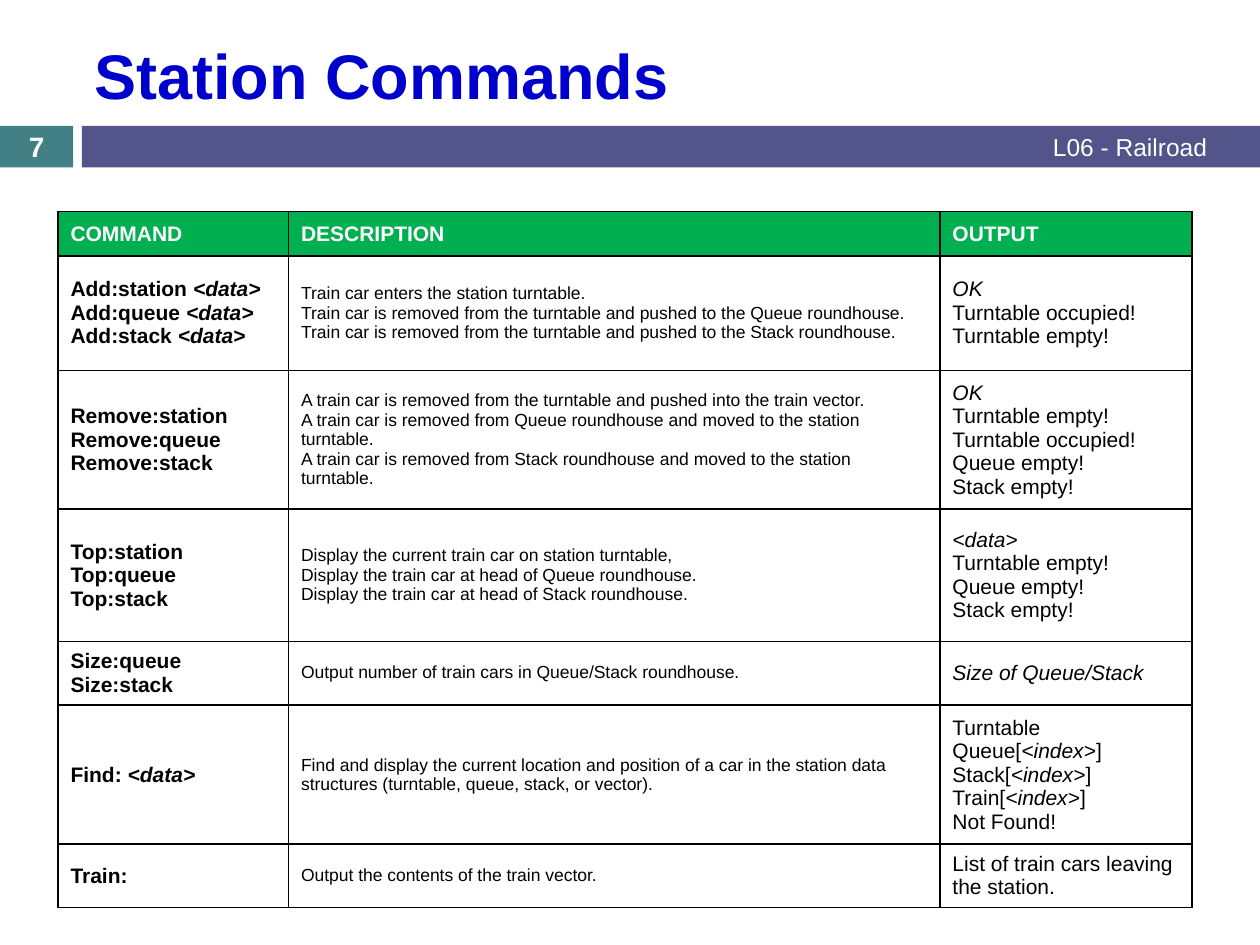
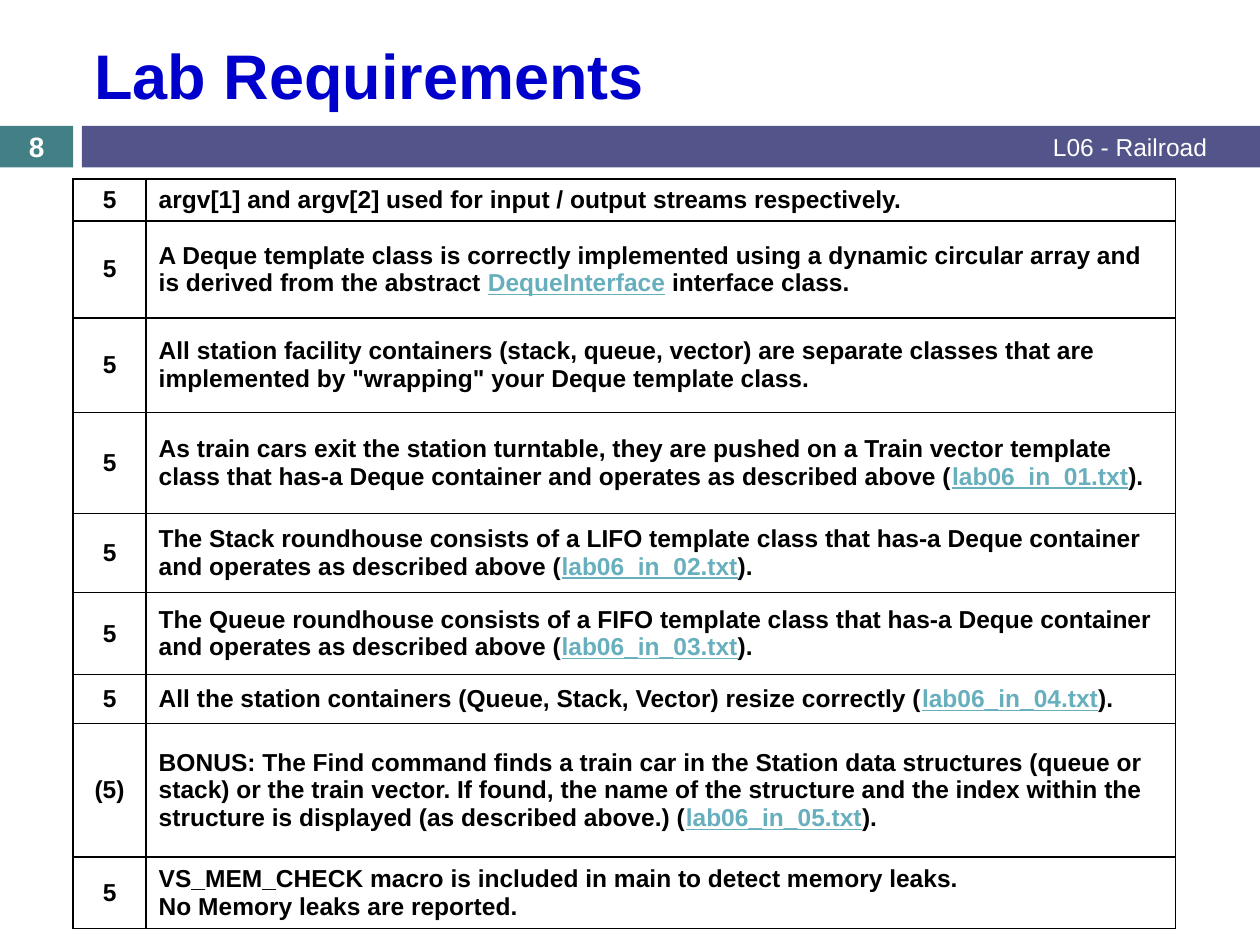
from lxml import etree
from pptx import Presentation
from pptx.dml.color import RGBColor
from pptx.enum.shapes import MSO_SHAPE
from pptx.enum.text import MSO_ANCHOR, MSO_AUTO_SIZE, PP_ALIGN
from pptx.oxml.ns import qn
from pptx.util import Inches, Pt

LEFT, CENTER, RIGHT = PP_ALIGN.LEFT, PP_ALIGN.CENTER, PP_ALIGN.RIGHT
MIDDLE = MSO_ANCHOR.MIDDLE
NO_AUTOFIT = MSO_AUTO_SIZE.NONE
RECTANGLE = MSO_SHAPE.RECTANGLE

SLIDE_WIDTH, SLIDE_HEIGHT = 10, 7.5
BAND_TOP, BAND_HEIGHT = 1, 0.33
NUMBER_WIDTH = 0.58
BAND_LEFT = 0.65

FONT = "Arial"
TEAL, PURPLE, TITLE_BLUE = "438086", "53548A", "0000CC"
GREEN, LINK, WHITE, BLACK = "00B050", "67AFBD", "FFFFFF", "000000"

FOOTER = "L06 - Railroad"
ACCENT = "|"  # encloses italic words or links inside a cell text

COMMAND_LEFT, COMMAND_TOP = 0.46, 1.68
COMMAND_COLUMNS = [1.83, 5.17, 2]
HEADER = ["COMMAND", "DESCRIPTION", "OUTPUT"]
# Each group: height of its slot, row heights, rows of cells
COMMAND_GROUPS = [
    (1.26, [0.35, 0.91], [
        HEADER,
        ["Add:station |<data>|\nAdd:queue |<data>|\nAdd:stack |<data>|",
         "Train car enters the station turntable.\n"
         "Train car is removed from the turntable and pushed to the Queue roundhouse.\n"
         "Train car is removed from the turntable and pushed to the Stack roundhouse.",
         "|OK|\nTurntable occupied!\nTurntable empty!"]]),
    (1.1, [1.05], [
        ["Remove:station\nRemove:queue\nRemove:stack",
         "A train car is removed from the turntable and pushed into the train vector.\n"
         "A train car is removed from Queue roundhouse and moved to the station turntable.\n"
         "A train car is removed from Stack roundhouse and moved to the station turntable.",
         "|OK|\nTurntable empty!\nTurntable occupied!\nQueue empty!\nStack empty!"]]),
    (1.05, [1.05], [
        ["Top:station\nTop:queue\nTop:stack",
         "Display the current train car on station turntable,\n"
         "Display the train car at head of Queue roundhouse.\n"
         "Display the train car at head of Stack roundhouse.",
         "|<data>|\nTurntable empty!\nQueue empty!\nStack empty!"]]),
    (0.51, [0.49], [
        ["Size:queue\nSize:stack",
         "Output number of train cars in Queue/Stack roundhouse.",
         "|Size of Queue/Stack|"]]),
    (1.1, [0.91], [
        ["Find: |<data>|",
         "Find and display the current location and position of a car in the "
         "station data structures (turntable, queue, stack, or vector).",
         "Turntable\nQueue[|<index>|]\nStack[|<index>|]\nTrain[|<index>|]\nNot Found!"]]),
    (0.5, [0.49], [
        ["Train:",
         "Output the contents of the train vector.",
         "List of train cars leaving the station."]]),
]

REQUIREMENT_LEFT, REQUIREMENT_TOP = 0.58, 1.42
REQUIREMENT_COLUMNS = [0.58, 8.17]
# Each requirement: row height, points, text
REQUIREMENTS = [
    (0.3, "5", "argv[1] and argv[2] used for input / output streams respectively."),
    (0.77, "5", "A Deque template class is correctly implemented using a dynamic circular "
     "array and is derived from the abstract |DequeInterface| interface class."),
    (0.75, "5", "All station facility containers (stack, queue, vector) are separate classes "
     "that are implemented by \"wrapping\" your Deque template class."),
    (0.8, "5", "As train cars exit the station turntable, they are pushed on a Train vector "
     "template class that has-a Deque container and operates as described above "
     "(|lab06_in_01.txt|)."),
    (0.63, "5", "The Stack roundhouse consists of a LIFO template class that has-a Deque "
     "container and operates as described above (|lab06_in_02.txt|)."),
    (0.65, "5", "The Queue roundhouse consists of a FIFO template class that has-a Deque "
     "container and operates as described above (|lab06_in_03.txt|)."),
    (0.39, "5", "All the station containers (Queue, Stack, Vector) resize correctly "
     "(|lab06_in_04.txt|)."),
    (1.06, "(5)", "BONUS: The Find command finds a train car in the Station data structures "
     "(queue or stack) or the train vector. If found, the name of the structure and the "
     "index within the structure is displayed (as described above.) (|lab06_in_05.txt|)."),
    (0.49, "5", "VS_MEM_CHECK macro is included in main to detect memory leaks.\n"
     "No Memory leaks are reported."),
]


def color(hex_string):
    return RGBColor.from_string(hex_string)


def format_run(run, size, hex_color, bold=False):
    run.font.name = FONT
    run.font.size = Pt(size)
    run.font.bold = bold
    run.font.color.rgb = color(hex_color)


def italicize(run):
    run.font.italic = True


def mark_as_link(run):
    run.font.underline = True
    run.font.color.rgb = color(LINK)


def write(text_frame, text, size, hex_color, bold=False, align=LEFT, accent=italicize):
    """Write one paragraph per line; parts between accent marks get the accent style."""
    text_frame.word_wrap = True
    text_frame.vertical_anchor = MIDDLE
    for index, line in enumerate(text.split("\n")):
        paragraph = text_frame.add_paragraph() if index else text_frame.paragraphs[0]
        paragraph.alignment = align
        for position, part in enumerate(line.split(ACCENT)):
            if not part:
                continue
            run = paragraph.add_run()
            run.text = part
            format_run(run, size, hex_color, bold)
            if position % 2:
                accent(run)


def add_band(slide, left, width, fill):
    band = slide.shapes.add_shape(RECTANGLE, Inches(left), Inches(BAND_TOP),
                                  Inches(width), Inches(BAND_HEIGHT))
    band.shadow.inherit = False
    band.fill.solid()
    band.fill.fore_color.rgb = color(fill)
    band.line.fill.background()


def add_band_text(slide, left, width, text, size, bold, align):
    box = slide.shapes.add_textbox(Inches(left), Inches(BAND_TOP),
                                   Inches(width), Inches(BAND_HEIGHT))
    write(box.text_frame, text, size, WHITE, bold, align)


def add_titled_slide(presentation, title_text, number):
    """Add a slide with the shared title style, bands, number and footer."""
    slide = presentation.slides.add_slide(presentation.slide_layouts[5])
    add_band(slide, 0, NUMBER_WIDTH, TEAL)
    add_band(slide, BAND_LEFT, SLIDE_WIDTH - BAND_LEFT, PURPLE)
    title = slide.shapes.title
    title.left, title.top = Inches(BAND_LEFT), Inches(0.19)
    title.width, title.height = Inches(8.92), Inches(0.8)
    title.text_frame.auto_size = NO_AUTOFIT
    write(title.text_frame, title_text, 36, TITLE_BLUE, bold=True)
    add_band_text(slide, 3.75, 5.93, FOOTER, 14, False, RIGHT)
    add_band_text(slide, 0, NUMBER_WIDTH, str(number), 16, True, CENTER)
    return slide


def add_borders(cell):
    properties = cell._tc.get_or_add_tcPr()
    for index, side in enumerate(("lnL", "lnR", "lnT", "lnB")):
        line = etree.Element(qn(f"a:{side}"), w=str(Pt(1)))
        fill = etree.SubElement(line, qn("a:solidFill"))
        etree.SubElement(fill, qn("a:srgbClr"), val=BLACK)
        properties.insert(index, line)


def add_grid(slide, left, top, columns, heights, rows, write_cell):
    """Add a bordered table; write_cell fills a cell from its text and column."""
    frame = slide.shapes.add_table(len(heights), len(columns), Inches(left), Inches(top),
                                   Inches(sum(columns)), Inches(sum(heights)))
    table = frame.table
    table.first_row = table.horz_banding = False
    for column, width in zip(table.columns, columns):
        column.width = Inches(width)
    for row, height, texts in zip(table.rows, heights, rows):
        row.height = Inches(height)
        for index, (cell, text) in enumerate(zip(row.cells, texts)):
            cell.vertical_anchor = MIDDLE
            cell.fill.solid()
            cell.fill.fore_color.rgb = color(GREEN if text in HEADER else WHITE)
            add_borders(cell)
            write_cell(cell, text, index)


def write_command_cell(cell, text, column):
    if text in HEADER:
        write(cell.text_frame, text, 12, WHITE, bold=True)
    else:
        write(cell.text_frame, text, 10 if column == 1 else 12, BLACK, bold=column == 0)


def write_requirement_cell(cell, text, column):
    write(cell.text_frame, text, 14, BLACK, bold=True,
          align=LEFT if column else CENTER, accent=mark_as_link)


def add_commands_slide(presentation):
    slide = add_titled_slide(presentation, "Station Commands", 7)
    top = COMMAND_TOP
    for slot_height, heights, rows in COMMAND_GROUPS:
        add_grid(slide, COMMAND_LEFT, top, COMMAND_COLUMNS, heights, rows,
                 write_command_cell)
        top += slot_height


def add_requirements_slide(presentation):
    slide = add_titled_slide(presentation, "Lab Requirements", 8)
    heights = [height for height, *_ in REQUIREMENTS]
    rows = [texts for _, *texts in REQUIREMENTS]
    add_grid(slide, REQUIREMENT_LEFT, REQUIREMENT_TOP, REQUIREMENT_COLUMNS, heights, rows,
             write_requirement_cell)


def main():
    presentation = Presentation()
    presentation.slide_width = Inches(SLIDE_WIDTH)
    presentation.slide_height = Inches(SLIDE_HEIGHT)
    add_commands_slide(presentation)
    add_requirements_slide(presentation)
    presentation.save("out.pptx")


if __name__ == "__main__":
    main()
